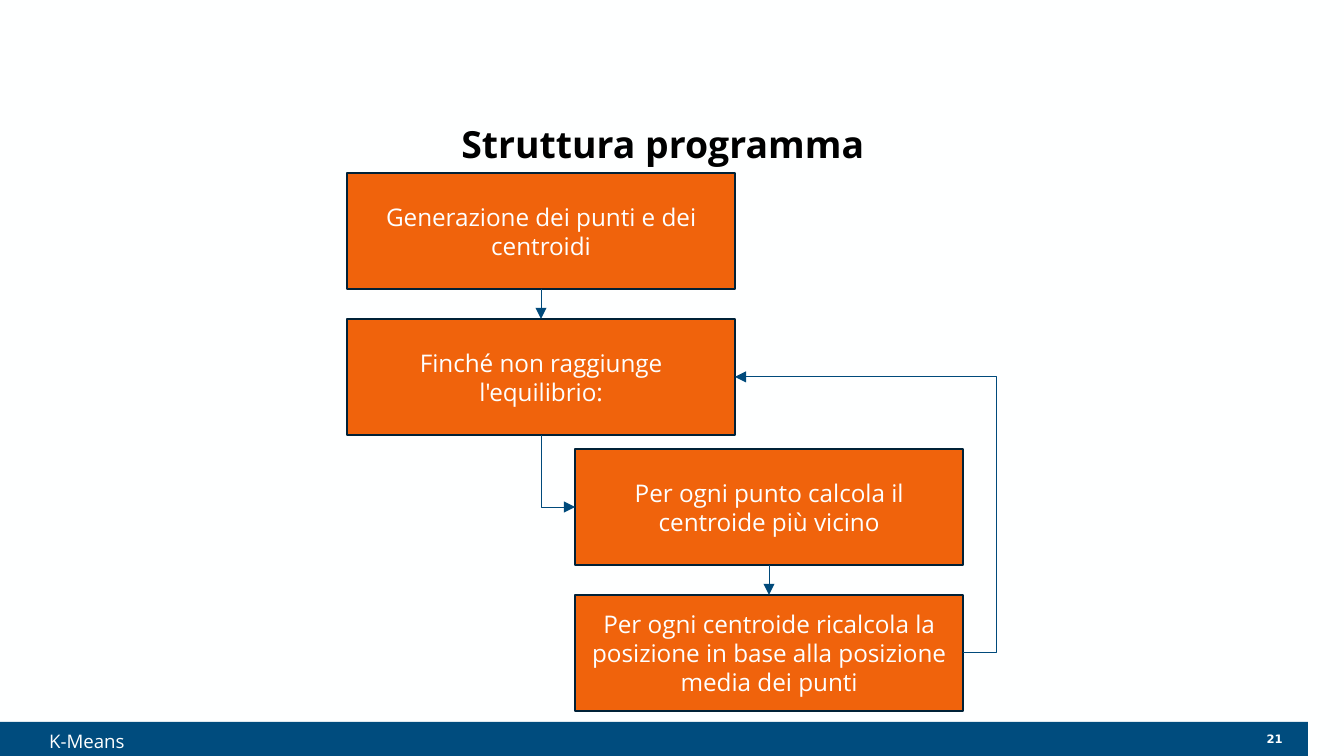
"""Build the K-Means program structure slide."""
import dataclasses
from typing import Any

import lxml.etree
import pptx
import pptx.dml.color
import pptx.enum.shapes
import pptx.enum.text
import pptx.oxml.ns
import pptx.util

EMU_PER_PX = 914400 / 134.4
SLIDE_WIDTH, SLIDE_HEIGHT = 1344, 756
BOX_WIDTH, BOX_HEIGHT = 388, 116
OUTER_LEFT, INNER_LEFT = 347, 575
ROW_STEP = 146
OUTER_TOP, INNER_TOP = 173, 449

WHITE = pptx.dml.color.RGBColor(0xFE, 0xFF, 0xFF)
BLACK = pptx.dml.color.RGBColor(0x00, 0x00, 0x00)
ORANGE = pptx.dml.color.RGBColor(0xF0, 0x63, 0x0C)
NAVY = pptx.dml.color.RGBColor(0x00, 0x21, 0x37)
ARROW_BLUE = pptx.dml.color.RGBColor(0x00, 0x4A, 0x7B)
BAR_BLUE = pptx.dml.color.RGBColor(0x00, 0x4C, 0x7E)

ALIGN = pptx.enum.text.PP_ALIGN
ANCHOR = pptx.enum.text.MSO_ANCHOR


@dataclasses.dataclass(frozen=True)
class Style:
    size: float
    align: Any
    color: Any = WHITE
    font: str = "Open Sans"
    bold: bool = False
    spacing: float = 1.0
    anchor: Any = ANCHOR.MIDDLE


@dataclasses.dataclass(frozen=True)
class Step:
    text: str
    left: int
    top: int

    @property
    def right(self) -> int:
        return self.left + BOX_WIDTH

    @property
    def center(self) -> int:
        return self.left + BOX_WIDTH // 2

    @property
    def middle(self) -> int:
        return self.top + BOX_HEIGHT // 2

    @property
    def bottom(self) -> int:
        return self.top + BOX_HEIGHT


GENERATE = Step("Generazione dei punti e dei centroidi", OUTER_LEFT, OUTER_TOP)
LOOP = Step("Finché non raggiunge l'equilibrio:", OUTER_LEFT, OUTER_TOP + ROW_STEP)
ASSIGN = Step("Per ogni punto calcola il centroide più vicino", INNER_LEFT, INNER_TOP)
UPDATE = Step(
    "Per ogni centroide ricalcola la posizione in base alla posizione media dei punti",
    INNER_LEFT,
    INNER_TOP + ROW_STEP,
)

TITLE_STYLE = Style(20, ALIGN.CENTER, color=BLACK, bold=True, spacing=1.2)
STEP_STYLE = Style(13, ALIGN.CENTER)
FOOTER_STYLE = Style(10, ALIGN.LEFT, spacing=0.9, anchor=ANCHOR.TOP)
NUMBER_STYLE = Style(6.2, ALIGN.RIGHT, font="DejaVu Sans", bold=True)


def px(length: float) -> int:
    """Turn pixels into EMU."""
    return round(length * EMU_PER_PX)


def apply(target: Any, formats: dict[str, Any]) -> None:
    """Set each format value on the target."""
    for attribute, value in formats.items():
        setattr(target, attribute, value)


def write(shape: Any, text: str, style: Style) -> None:
    """Fill a shape with one styled paragraph."""
    frame = shape.text_frame
    apply(frame, {
        "word_wrap": True,
        "auto_size": pptx.enum.text.MSO_AUTO_SIZE.NONE,
        "vertical_anchor": style.anchor,
    })
    paragraph = frame.paragraphs[0]
    apply(paragraph, {"alignment": style.align, "line_spacing": style.spacing})
    run = paragraph.add_run()
    run.text = text
    apply(run.font, {"size": pptx.util.Pt(style.size), "name": style.font, "bold": style.bold})
    run.font.color.rgb = style.color


def add_rectangle(slide: Any, left: int, top: int, width: int, height: int, fill: Any) -> Any:
    """Add a flat filled rectangle."""
    rectangle = slide.shapes.add_shape(
        pptx.enum.shapes.MSO_SHAPE.RECTANGLE, px(left), px(top), px(width), px(height)
    )
    rectangle.shadow.inherit = False
    rectangle.fill.solid()
    rectangle.fill.fore_color.rgb = fill
    rectangle.line.fill.background()
    return rectangle


def add_step(slide: Any, step: Step) -> Any:
    """Add one program step."""
    box = add_rectangle(slide, step.left, step.top, BOX_WIDTH, BOX_HEIGHT, ORANGE)
    box.line.color.rgb = NAVY
    box.line.width = pptx.util.Pt(1)
    write(box, step.text, STEP_STYLE)
    return box


def add_label(
    slide: Any, text: str, left: int, top: int, width: int, height: int, style: Style
) -> None:
    """Add a text box."""
    label = slide.shapes.add_textbox(px(left), px(top), px(width), px(height))
    write(label, text, style)


def add_arrow(slide: Any, kind: Any, start: tuple[int, int], end: tuple[int, int]) -> Any:
    """Add a thin arrow between two points."""
    arrow = slide.shapes.add_connector(kind, *map(px, start + end))
    arrow.line.color.rgb = ARROW_BLUE
    arrow.line.width = pptx.util.Pt(0.5)
    line = arrow.line._get_or_add_ln()
    lxml.etree.SubElement(line, pptx.oxml.ns.qn("a:tailEnd"), type="triangle")
    lxml.etree.SubElement(arrow._element.spPr, pptx.oxml.ns.qn("a:effectLst"))
    return arrow


def add_down_arrow(slide: Any, upper: Step, lower: Step, boxes: dict[Step, Any]) -> None:
    """Join two stacked steps."""
    kind = pptx.enum.shapes.MSO_CONNECTOR.STRAIGHT
    arrow = add_arrow(slide, kind, (upper.center, upper.bottom), (lower.center, lower.top))
    arrow.begin_connect(boxes[upper], 2)
    arrow.end_connect(boxes[lower], 0)


def add_bent_arrow(slide: Any, start: tuple[int, int], end: tuple[int, int], bend_x: int) -> None:
    """Add an elbow arrow whose vertical part stands at bend_x."""
    arrow = add_arrow(slide, pptx.enum.shapes.MSO_CONNECTOR.ELBOW, start, end)
    share = round(100000 * (bend_x - start[0]) / (end[0] - start[0]))
    guides = arrow._element.spPr.prstGeom.get_or_add_avLst()
    lxml.etree.SubElement(guides, pptx.oxml.ns.qn("a:gd"), name="adj1", fmla=f"val {share}")


def main() -> None:
    """Build and save the slide."""
    deck = pptx.Presentation()
    apply(deck, {"slide_width": px(SLIDE_WIDTH), "slide_height": px(SLIDE_HEIGHT)})
    slide = deck.slides.add_slide(deck.slide_layouts[5])
    slide.background.fill.solid()
    slide.background.fill.fore_color.rgb = WHITE

    add_rectangle(slide, 0, 722, 1308, 34, BAR_BLUE)
    add_label(slide, "21", 1146, 724, 150, 30, NUMBER_STYLE)
    add_label(slide, "K-Means", 36, 726, 1116, 28, FOOTER_STYLE)

    title = slide.shapes.title
    apply(title, {"left": px(105), "top": px(105), "width": px(1116), "height": px(68)})
    write(title, "Struttura programma", TITLE_STYLE)

    boxes = {step: add_step(slide, step) for step in (GENERATE, LOOP, ASSIGN, UPDATE)}
    for upper, lower in ((GENERATE, LOOP), (ASSIGN, UPDATE)):
        add_down_arrow(slide, upper, lower, boxes)
    add_bent_arrow(slide, (LOOP.center, LOOP.bottom), (ASSIGN.left, ASSIGN.middle), LOOP.center)
    add_bent_arrow(
        slide, (UPDATE.right, UPDATE.middle), (LOOP.right, LOOP.middle), UPDATE.right + 34
    )
    deck.save("out.pptx")


if __name__ == "__main__":
    main()
